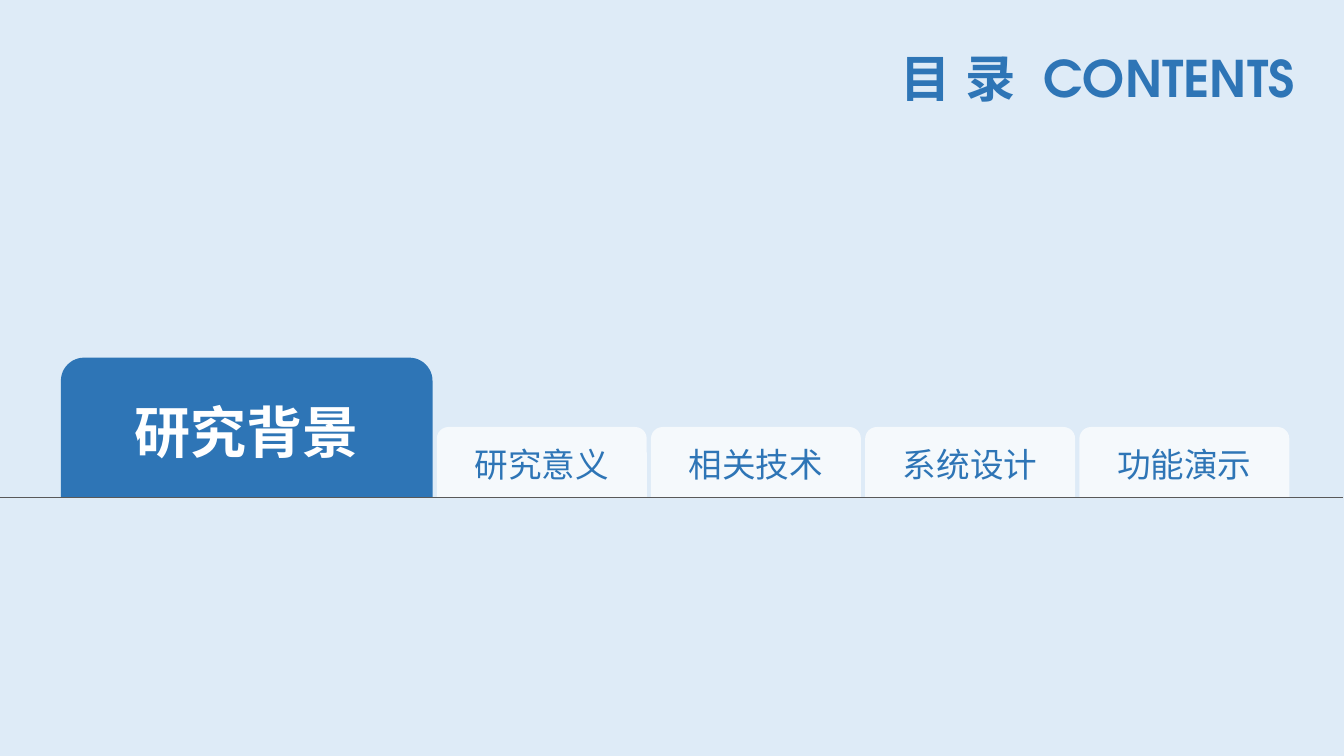
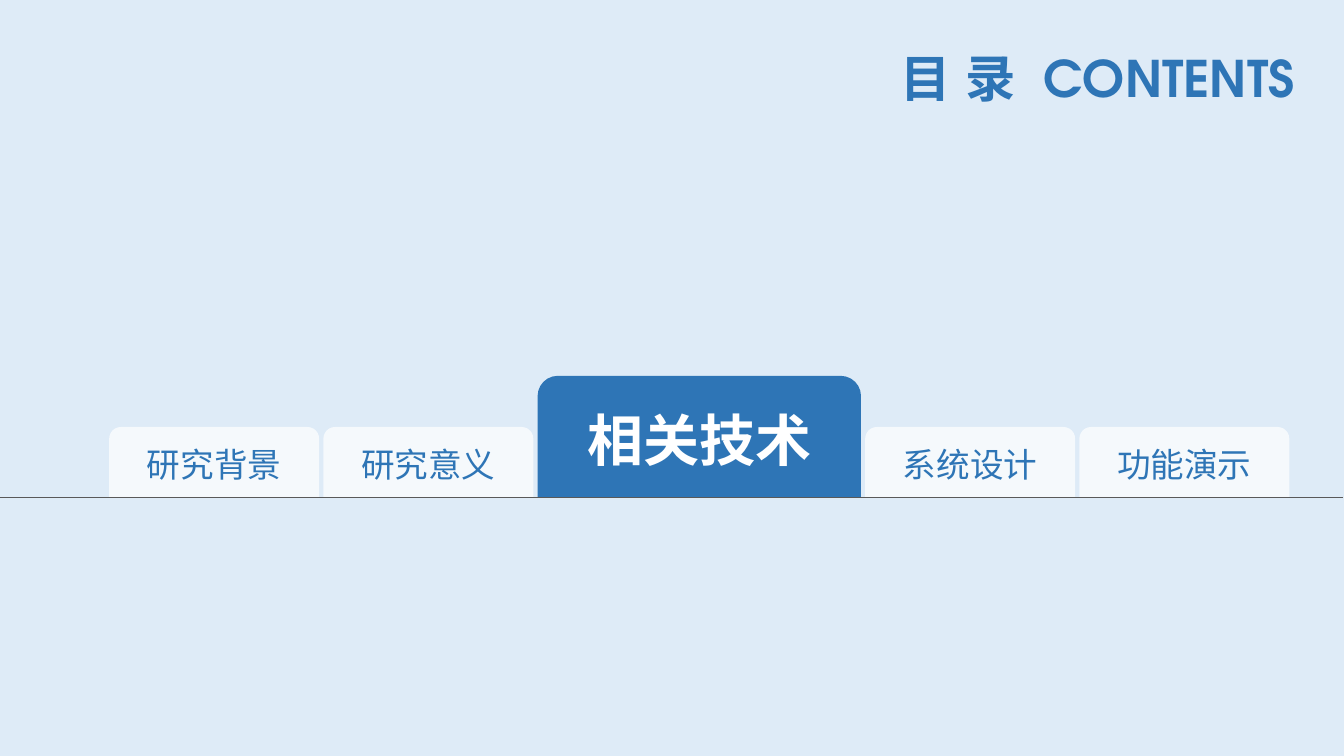
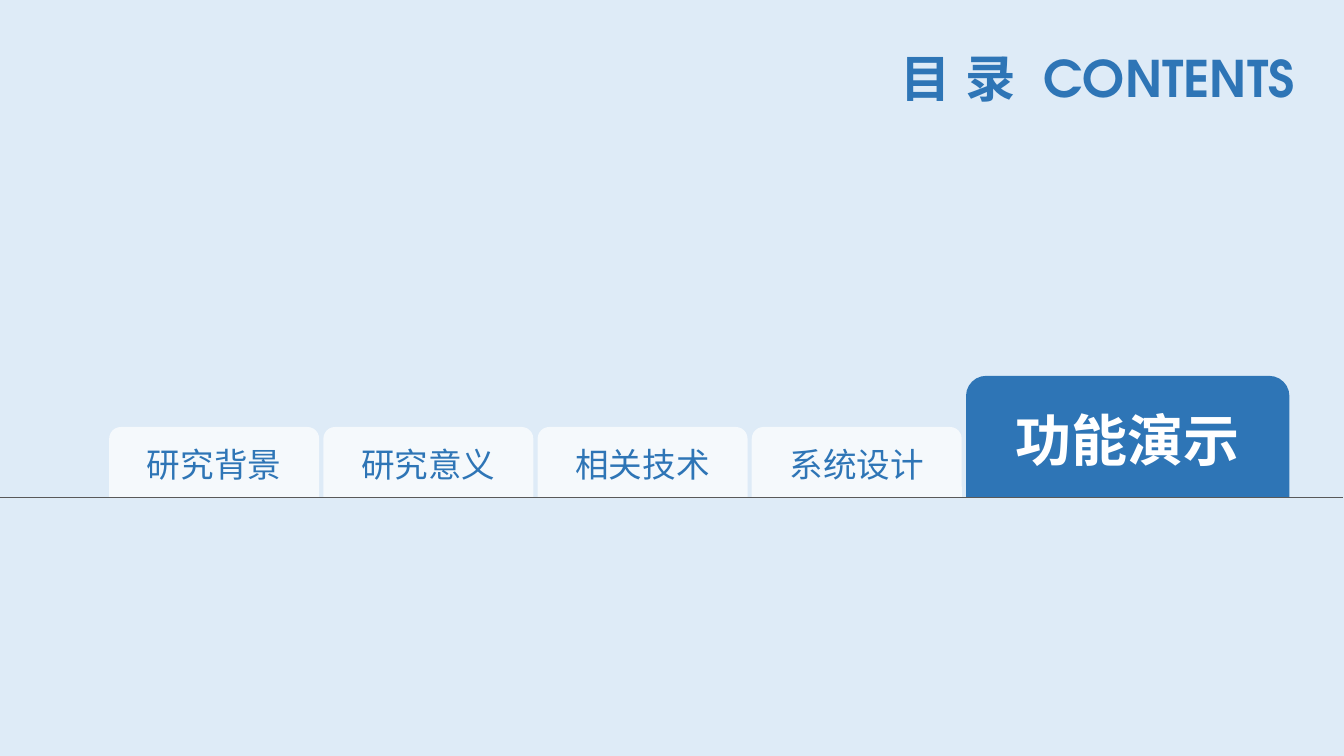
from lxml import etree
from pptx import Presentation
from pptx.dml.color import RGBColor
from pptx.enum import lang, shapes, text
from pptx.oxml.ns import qn
from pptx.util import Pt

BLUE = RGBColor(0x2E, 0x75, 0xB6)
PALE = RGBColor(0xDE, 0xEB, 0xF7)
WHITE = RGBColor(0xFF, 0xFF, 0xFF)
GREY = RGBColor(0x59, 0x59, 0x59)
FONT = "TeX Gyre Adventor"

TOPICS = ["研究背景", "研究意义", "相关技术", "系统设计", "功能演示"]
BASE, RIGHT, GAP = 355, 921, 3  # line the tabs stand on, right edge, gap
SMALL = (150, 50)
# Number of the active topic, size of its tab
PAGES = [(0, (265.5, 99.5)), (2, (231, 86.5)), (4, (231, 86.5))]


def add_run(para, words, size, color, bold=False, space=0):
    run = para.add_run()
    run.text = words
    font = run.font
    font.size, font.bold, font.name = Pt(size), bold, FONT
    font.color.rgb = color
    font.language_id = lang.MSO_LANGUAGE_ID.SIMPLIFIED_CHINESE
    props = run._r.get_or_add_rPr()
    etree.SubElement(props, qn("a:ea")).set("typeface", FONT)
    if space:
        props.set("spc", str(space * 100))


def add_tab(slide, box, words, active):
    tab = slide.shapes.add_shape(
        shapes.MSO_SHAPE.ROUND_2_SAME_RECTANGLE, *map(Pt, box))
    tab.shadow.inherit = False
    tab.line.fill.background()
    tab.fill.solid()
    tab.fill.fore_color.rgb = BLUE if active else WHITE
    frame = tab.text_frame
    frame.word_wrap = True
    frame.vertical_anchor = text.MSO_ANCHOR.MIDDLE
    para = frame.paragraphs[0]
    para.alignment = text.PP_ALIGN.CENTER
    if active:
        frame.margin_left = frame.margin_right = 0
        add_run(para, words, 40, WHITE, True)
    else:
        # 70 % opaque white
        tint = tab._element.spPr.find(qn("a:solidFill"))[0]
        etree.SubElement(tint, qn("a:alpha")).set("val", "70000")
        add_run(para, words, 24, BLUE)


def add_tabs(slide, right, base, active, size):
    # Tabs are stacked from the right edge to the left
    boxes = []
    for num in reversed(range(len(TOPICS))):
        wide, high = size if num == active else SMALL
        boxes.insert(0, (right - wide, base - high, wide, high))
        right -= wide + GAP
    for num, (box, words) in enumerate(zip(boxes, TOPICS)):
        add_tab(slide, box, words, num == active)


def add_base(slide, left, right, top):
    line = slide.shapes.add_connector(
        shapes.MSO_CONNECTOR.STRAIGHT, Pt(left), Pt(top), Pt(right), Pt(top))
    line.line.color.rgb = GREY
    line.line.width = Pt(0.5)
    etree.SubElement(line._element.spPr, qn("a:effectLst"))


def add_title(slide, box):
    frame = slide.shapes.add_textbox(*map(Pt, box)).text_frame
    frame.word_wrap = False
    frame.auto_size = text.MSO_AUTO_SIZE.SHAPE_TO_FIT_TEXT
    para = frame.paragraphs[0]
    para.alignment = text.PP_ALIGN.CENTER
    add_run(para, "目 录", 36, BLUE, True)
    add_run(para, " ", 36, BLUE, True, space=10)
    add_run(para, "CONTENTS", 36, BLUE, True)


def add_page(deck, active, size):
    slide = deck.slides.add_slide(deck.slide_layouts[6])
    slide.background.fill.solid()
    slide.background.fill.fore_color.rgb = PALE
    add_tabs(slide, RIGHT, BASE, active, size)
    add_base(slide, -1, 959, BASE)
    add_title(slide, (634, 30, 300, 51))


def main():
    deck = Presentation()
    deck.slide_width, deck.slide_height = Pt(960), Pt(540)
    for active, size in PAGES:
        add_page(deck, active, size)
    deck.save("out.pptx")


if __name__ == "__main__":
    main()
